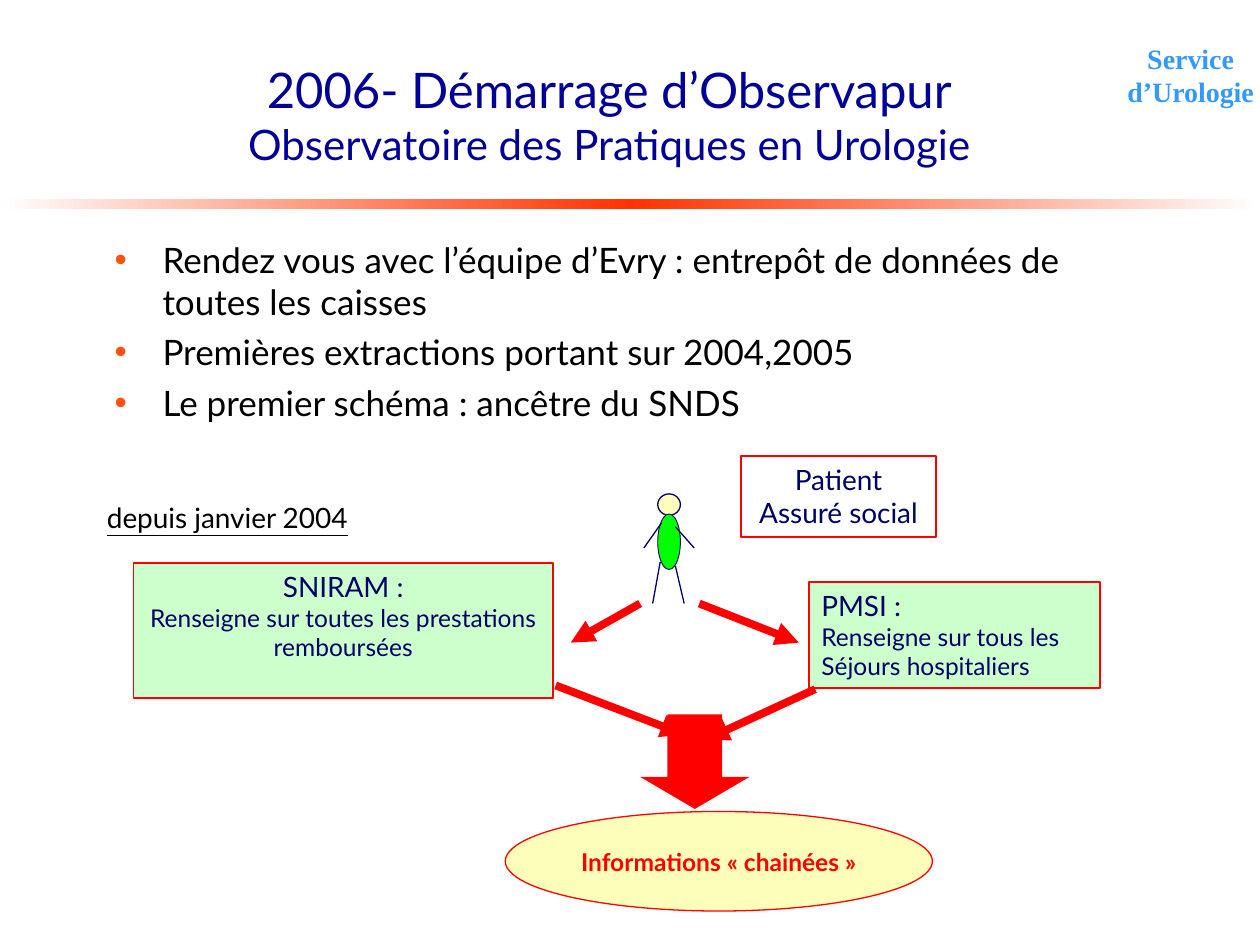
from copy import deepcopy

from pptx import Presentation
from pptx.dml.color import RGBColor
from pptx.enum.shapes import MSO_CONNECTOR, MSO_SHAPE
from pptx.enum.text import MSO_ANCHOR, MSO_AUTO_SIZE, PP_ALIGN
from pptx.oxml.ns import qn
from pptx.util import Inches, Pt
from lxml import etree

RECT, OVAL, DOWN_ARROW = MSO_SHAPE.RECTANGLE, MSO_SHAPE.OVAL, MSO_SHAPE.DOWN_ARROW
STRAIGHT = MSO_CONNECTOR.STRAIGHT
LEFT, CENTER = PP_ALIGN.LEFT, PP_ALIGN.CENTER
TOP, MIDDLE = MSO_ANCHOR.TOP, MSO_ANCHOR.MIDDLE
NO_AUTOFIT = MSO_AUTO_SIZE.NONE

WHITE = RGBColor(0xFF, 0xFF, 0xFF)
BLACK = RGBColor(0x00, 0x00, 0x00)
RED = RGBColor(0xFF, 0x00, 0x00)
BAND_RED = RGBColor(0xFF, 0x33, 0x00)
BULLET_ORANGE = RGBColor(0xFF, 0x51, 0x0B)
TITLE_BLUE = RGBColor(0x00, 0x00, 0x99)
NAVY = RGBColor(0x00, 0x00, 0x66)
SKY_BLUE = RGBColor(0x33, 0x99, 0xFF)
PALE_GREEN = RGBColor(0xCC, 0xFF, 0xCC)
GREEN = RGBColor(0x00, 0xFF, 0x00)
PALE_YELLOW = RGBColor(0xFC, 0xFE, 0xB9)


def write_text(shape, lines, size=16, sizes=None, color=NAVY, font="Lato", bold=False,
               underline=False, align=CENTER, anchor=TOP, wrap=True, gap=0,
               one_paragraph=False):
    """Write lines as paragraphs, or as one paragraph with line breaks."""
    frame = shape.text_frame
    frame.auto_size = NO_AUTOFIT
    frame.word_wrap = wrap
    frame.vertical_anchor = anchor
    frame.margin_left = frame.margin_right = Inches(0.1)
    frame.margin_top = frame.margin_bottom = Inches(0.05)
    paragraph = frame.paragraphs[0]
    for index, line in enumerate(lines):
        if index and one_paragraph:
            paragraph.add_line_break()
        elif index:
            paragraph = frame.add_paragraph()
        paragraph.alignment = align
        paragraph.space_before = Pt(gap if index and not one_paragraph else 0)
        run = paragraph.add_run()
        run.text = line
        run.font.name = font
        run.font.size = Pt(sizes[index] if sizes else size)
        run.font.bold = bold
        run.font.underline = underline
        run.font.color.rgb = color


def place(shape, left, top, width, height):
    shape.left, shape.top = Inches(left), Inches(top)
    shape.width, shape.height = Inches(width), Inches(height)


def add_label(slide, box, lines, **text_format):
    label = slide.shapes.add_textbox(*map(Inches, box))
    write_text(label, lines, **text_format)


def add_figure(slide, kind, box, fill=None, line=None, line_width=1):
    figure = slide.shapes.add_shape(kind, *map(Inches, box))
    figure.shadow.inherit = False
    if fill is None:
        figure.fill.background()
    else:
        figure.fill.solid()
        figure.fill.fore_color.rgb = fill
    if line is None:
        figure.line.fill.background()
    else:
        figure.line.color.rgb = line
        figure.line.width = Pt(line_width)
    return figure


def add_line(slide, start, end, color=NAVY, width=0.75, arrow=False):
    line = slide.shapes.add_connector(STRAIGHT, *map(Inches, start + end))
    line.line.color.rgb = color
    line.line.width = Pt(width)
    properties = line._element.spPr
    if arrow:
        etree.SubElement(properties.find(qn("a:ln")), qn("a:tailEnd"), type="triangle")
    etree.SubElement(properties, qn("a:effectLst"))


def add_bullets(shape):
    for paragraph in shape.text_frame.paragraphs:
        properties = paragraph._p.get_or_add_pPr()
        properties.set("marL", str(Inches(0.38)))
        properties.set("indent", str(-Inches(0.38)))
        bullet_color = etree.SubElement(properties, qn("a:buClr"))
        etree.SubElement(bullet_color, qn("a:srgbClr"), val=str(BULLET_ORANGE))
        etree.SubElement(properties, qn("a:buChar"), char="•")


def add_gradient_band(slide):
    band = add_figure(slide, RECT, (0, 1.58, 10, 0.08))
    band.fill.gradient()
    band.fill.gradient_angle = 0
    stop_list = band._element.spPr.find(".//" + qn("a:gsLst"))
    stop_list.append(deepcopy(stop_list[-1]))
    for index, color in enumerate((WHITE, BAND_RED, WHITE)):
        stop = band.fill.gradient_stops[index]
        stop.position = index / 2
        stop.color.rgb = color


def add_patient(slide):
    add_figure(slide, OVAL, (5.22, 3.92, 0.18, 0.17), PALE_YELLOW, NAVY, 0.75)
    add_figure(slide, OVAL, (5.22, 4.08, 0.18, 0.44), GREEN, NAVY, 0.5)
    limbs = [((5.25, 4.15), (5.11, 4.35)), ((5.36, 4.18), (5.51, 4.35)),
             ((5.24, 4.46), (5.18, 4.79)), ((5.36, 4.49), (5.43, 4.79))]
    for start, end in limbs:
        add_line(slide, start, end)


def add_data_flow(slide):
    # Patient and the two databases
    add_label(slide, (0.75, 3.92, 3.39, 0.36), ["depuis janvier 2004"],
              color=BLACK, underline=True, align=LEFT)
    patient = add_figure(slide, RECT, (5.88, 3.62, 1.55, 0.64), line=RED)
    write_text(patient, ["Patient", "Assuré social"], wrap=False)
    sniram = add_figure(slide, RECT, (1.06, 4.47, 3.33, 1.07), PALE_GREEN, RED)
    write_text(sniram, ["SNIRAM :", "Renseigne sur toutes les prestations remboursées"],
               sizes=(16, 14))
    pmsi = add_figure(slide, RECT, (6.42, 4.62, 2.31, 0.84), PALE_GREEN, RED)
    write_text(pmsi, ["PMSI :", "Renseigne sur tous les", "Séjours hospitaliers"],
               sizes=(16, 14, 14), align=LEFT)
    add_patient(slide)

    # Linked information
    linked = add_figure(slide, OVAL, (4.01, 6.44, 3.39, 0.79), PALE_YELLOW, RED, 0.75)
    write_text(linked, ["Informations « chainées »"], size=14, color=RED, bold=True,
               anchor=MIDDLE, wrap=False)
    merge = add_figure(slide, DOWN_ARROW, (5.08, 5.67, 0.87, 0.75), RED)
    merge.adjustments[0], merge.adjustments[1] = 0.5, 0.34

    # Flows from the patient to the databases, then to the merge
    flows = [((5.08, 4.79), (4.53, 5.1)), ((5.55, 4.79), (6.34, 5.1)),
             ((4.41, 5.44), (5.43, 5.83)), ((6.47, 5.47), (5.6, 5.87))]
    for start, end in flows:
        add_line(slide, start, end, RED, 4.5, arrow=True)


def main():
    presentation = Presentation()
    presentation.slide_width, presentation.slide_height = Inches(10), Inches(7.5)
    slide = presentation.slides.add_slide(presentation.slide_layouts[1])

    # Header
    add_gradient_band(slide)
    add_label(slide, (8.77, 0.28, 1.36, 0.9), ["Service", "d’Urologie"],
              color=SKY_BLUE, font="Times New Roman", bold=True, wrap=False, anchor=TOP)
    title = slide.shapes.title
    place(title, 1.75, 0.42, 6.17, 1.36)
    write_text(title, ["2006- Démarrage d’Observapur", "Observatoire des Pratiques en Urologie"],
               sizes=(28, 24), color=TITLE_BLUE, one_paragraph=True)

    # Key points
    points = slide.placeholders[1]
    place(points, 0.81, 1.84, 8.5, 2.92)
    write_text(points, ["Rendez vous avec l’équipe d’Evry : entrepôt de données de toutes les caisses",
                        "Premières extractions portant sur 2004,2005",
                        "Le premier schéma : ancêtre du SNDS"],
               size=20, color=BLACK, align=LEFT, gap=5)
    add_bullets(points)

    add_data_flow(slide)
    presentation.save("out.pptx")


if __name__ == "__main__":
    main()
